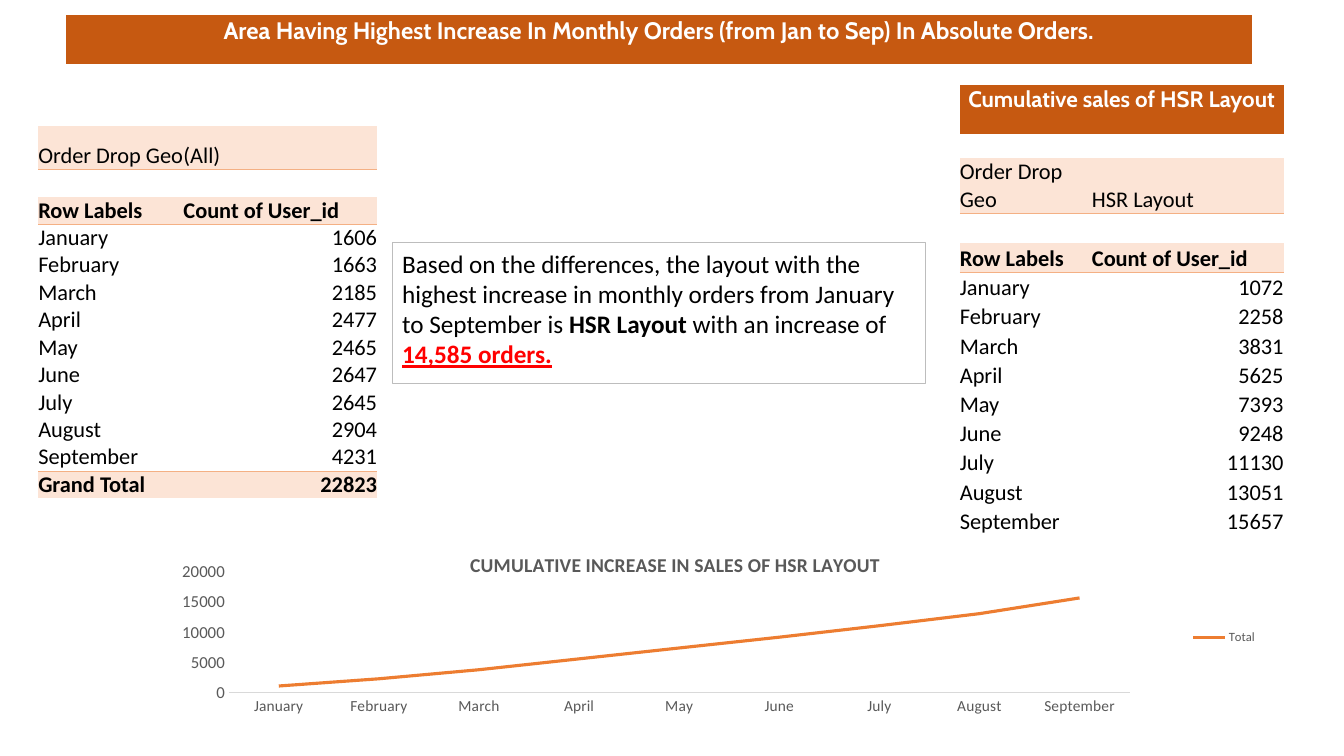
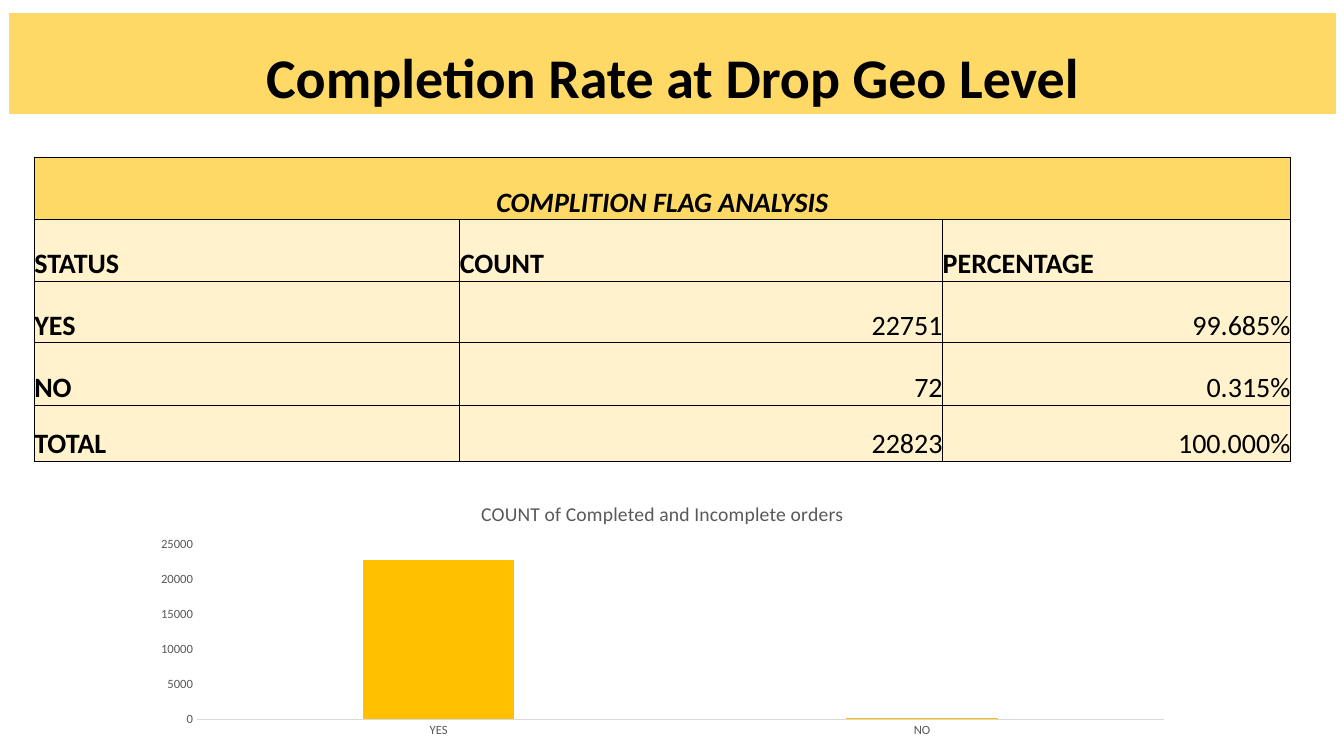
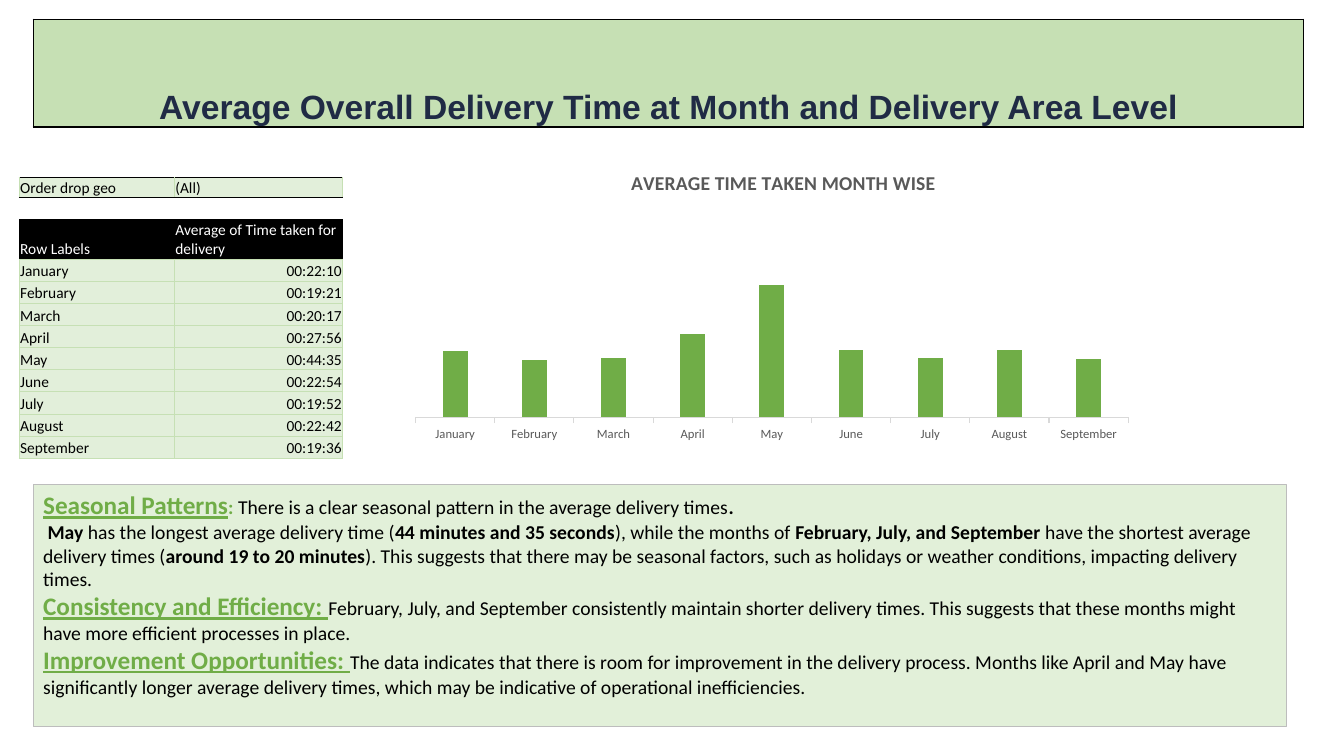
from dataclasses import dataclass, field, replace
from typing import NamedTuple

from lxml.etree import SubElement
from pptx import Presentation
from pptx.chart.data import CategoryChartData
from pptx.dml.color import RGBColor
from pptx.enum.chart import XL_CHART_TYPE, XL_LEGEND_POSITION, XL_TICK_MARK
from pptx.enum.shapes import MSO_SHAPE
from pptx.enum.text import MSO_ANCHOR, PP_ALIGN
from pptx.oxml.ns import qn
from pptx.util import Inches, Pt

# Colours
BLACK = RGBColor(0x00, 0x00, 0x00)
WHITE = RGBColor(0xFF, 0xFF, 0xFF)
GREY_TEXT = RGBColor(0x59, 0x59, 0x59)
AXIS_GREY = RGBColor(0xD9, 0xD9, 0xD9)
BOX_GREY = RGBColor(0xBD, 0xBD, 0xBD)
RED = RGBColor(0xFF, 0x00, 0x00)
RUST = RGBColor(0xC6, 0x59, 0x11)
PEACH = RGBColor(0xFC, 0xE4, 0xD6)
PEACH_RULE = RGBColor(0xF4, 0xB0, 0x84)
ORANGE = RGBColor(0xED, 0x7D, 0x31)
GOLD = RGBColor(0xFF, 0xD9, 0x66)
CREAM = RGBColor(0xFF, 0xF2, 0xCC)
AMBER = RGBColor(0xFF, 0xC0, 0x00)
NAVY = RGBColor(0x20, 0x2B, 0x45)
SAGE = RGBColor(0xC6, 0xE0, 0xB4)
MINT = RGBColor(0xE2, 0xEF, 0xDA)
NOTE_GREEN = RGBColor(0xE2, 0xF0, 0xD9)
GREEN = RGBColor(0x70, 0xAD, 0x47)

MONTHS = ["January", "February", "March", "April", "May", "June",
          "July", "August", "September"]
MONTHLY_ORDERS = [1606, 1663, 2185, 2477, 2465, 2647, 2645, 2904, 4231]
CUMULATIVE_ORDERS = [1072, 2258, 3831, 5625, 7393, 9248, 11130, 13051, 15657]
DELIVERY_TIMES = ["00:22:10", "00:19:21", "00:20:17", "00:27:56", "00:44:35",
                  "00:22:54", "00:19:52", "00:22:42", "00:19:36"]
RELATIVE_TIMES = [50, 43, 45, 63, 100, 51, 45, 51, 44]


class Box(NamedTuple):
    left: float
    top: float
    width: float
    height: float


class Edge(NamedTuple):
    color: RGBColor
    points: float


@dataclass(frozen=True)
class Look:
    size: float
    fill: RGBColor | None = None
    color: RGBColor = BLACK
    font: str = "Calibri"
    bold: bool = False
    italic: bool = False
    align: PP_ALIGN = PP_ALIGN.LEFT
    anchor: MSO_ANCHOR = MSO_ANCHOR.BOTTOM
    inset: float = 0
    edges: dict[str, Edge] = field(default_factory=dict)


class Row(NamedTuple):
    texts: list[str]
    height: float
    label: Look
    value: Look | None = None


class Span(NamedTuple):
    text: str
    bold: bool = False
    color: RGBColor = BLACK
    size: float | None = None
    underline: bool = False


@dataclass(frozen=True)
class ChartPlan:
    kind: XL_CHART_TYPE
    box: Box
    title: str
    categories: list[str]
    series: str
    values: list[int]
    color: RGBColor
    maximum: float
    step: float
    plot: Box | None = None
    title_bold: bool = True
    title_at: tuple[float, float] | None = None
    category_size: float = 9
    value_size: float = 9
    tick: XL_TICK_MARK = XL_TICK_MARK.NONE
    show_values: bool = True
    legend: bool = False


# Tables
def all_edges(color: RGBColor, points: float) -> dict[str, Edge]:
    return {side: Edge(color, points) for side in "LRTB"}


def write_cell(cell, text: str, look: Look) -> None:
    properties = cell._tc.get_or_add_tcPr()
    for side in "LRTB":
        edge = look.edges.get(side)
        line = SubElement(properties, qn(f"a:ln{side}"))
        if edge:
            line.set("w", str(Pt(edge.points)))
            solid = SubElement(line, qn("a:solidFill"))
            SubElement(solid, qn("a:srgbClr"), val=str(edge.color))
        else:
            SubElement(line, qn("a:noFill"))
    if look.fill is None:
        cell.fill.background()
    else:
        cell.fill.solid()
        cell.fill.fore_color.rgb = look.fill
    cell.margin_left = cell.margin_right = cell.margin_top = Inches(look.inset)
    cell.margin_bottom = 0
    cell.vertical_anchor = look.anchor
    paragraph = cell.text_frame.paragraphs[0]
    paragraph.alignment = look.align
    font = paragraph.font
    font.name, font.size = look.font, Pt(look.size)
    font.bold, font.italic = look.bold, look.italic
    font.color.rgb = look.color
    if text:
        paragraph.add_run().text = text
    else:
        SubElement(paragraph._p, qn("a:endParaRPr"), sz=str(int(look.size * 100)))


def draw_table(slide, left: float, top: float, widths: list[float],
               rows: list[Row]) -> None:
    """A row with a single text spans all columns."""
    table = slide.shapes.add_table(
        len(rows), len(widths), Inches(left), Inches(top),
        Inches(sum(widths)), Inches(sum(row.height for row in rows))).table
    table.first_row = table.horz_banding = False
    for column, width in zip(table.columns, widths):
        column.width = Inches(width)
    for r, row in enumerate(rows):
        table.rows[r].height = Inches(row.height)
        spans = len(row.texts) < len(widths)
        texts = row.texts + [""] * (len(widths) - len(row.texts))
        for c, text in enumerate(texts):
            look = row.value if c and row.value else row.label
            write_cell(table.cell(r, c), text, look)
        if spans:
            table.cell(r, 0).merge(table.cell(r, len(widths) - 1))


def draw_band(slide, box: Box, text: str, look: Look) -> None:
    centred = replace(look, align=PP_ALIGN.CENTER, bold=True)
    draw_table(slide, box.left, box.top, [box.width],
               [Row([text], box.height, centred)])


def order_rows(geo: str, filter_height: float, gap: float, height: float,
               counts: list[int], total: int | None = None) -> list[Row]:
    rule = Edge(PEACH_RULE, 0.5)
    plain = Look(16)
    number = replace(plain, align=PP_ALIGN.RIGHT)
    ruled = replace(plain, fill=PEACH, edges={"B": rule})
    rows = [Row(["Order Drop Geo", geo], filter_height, ruled),
            Row(["", ""], gap, replace(plain, edges={"T": rule})),
            Row(["Row Labels", "Count of User_id"], height,
                replace(ruled, bold=True))]
    for month, count in zip(MONTHS, counts):
        edges = {}
        if month == MONTHS[0]:
            edges["T"] = rule
        if month == MONTHS[-1] and total:
            edges["B"] = rule
        rows.append(Row([month, str(count)], height,
                        replace(plain, edges=edges), replace(number, edges=edges)))
    if total:
        closing = replace(plain, fill=PEACH, bold=True, edges={"T": rule})
        rows.append(Row(["Grand Total", str(total)], height, closing,
                        replace(closing, align=PP_ALIGN.RIGHT)))
    return rows


# Text boxes
def draw_note(slide, box: Box, fill: RGBColor, size: float,
              paragraphs: list[list[Span]]) -> None:
    note = slide.shapes.add_shape(MSO_SHAPE.RECTANGLE, *map(Inches, box))
    note.shadow.inherit = False
    note.fill.solid()
    note.fill.fore_color.rgb = fill
    note.line.color.rgb = BOX_GREY
    note.line.width = Pt(0.75)
    frame = note.text_frame
    frame.word_wrap = True
    frame.vertical_anchor = MSO_ANCHOR.TOP
    for i, spans in enumerate(paragraphs):
        paragraph = frame.add_paragraph() if i else frame.paragraphs[0]
        paragraph.alignment = PP_ALIGN.LEFT
        paragraph.font.name, paragraph.font.size = "Calibri", Pt(size)
        for span in spans:
            run = paragraph.add_run()
            run.text = span.text
            run.font.bold, run.font.underline = span.bold, span.underline
            run.font.color.rgb = span.color
            if span.size:
                run.font.size = Pt(span.size)


# Charts
def set_layout(parent, index: int, fractions: dict[str, float],
               inner: bool = False) -> None:
    for old in parent.findall(qn("c:layout")):
        parent.remove(old)
    layout = parent.makeelement(qn("c:layout"), {})
    manual = SubElement(layout, qn("c:manualLayout"))
    if inner:
        SubElement(manual, qn("c:layoutTarget"), val="inner")
    for mode in ("xMode", "yMode"):
        SubElement(manual, qn(f"c:{mode}"), val="edge")
    for name, value in fractions.items():
        SubElement(manual, qn(f"c:{name}"), val=str(value))
    parent.insert(index, layout)


def style_font(font, size: float, color: RGBColor = GREY_TEXT) -> None:
    font.name, font.size = "Calibri", Pt(size)
    font.color.rgb = color


def draw_chart(slide, plan: ChartPlan) -> None:
    data = CategoryChartData()
    data.categories = plan.categories
    data.add_series(plan.series, plan.values)
    chart = slide.shapes.add_chart(plan.kind, *map(Inches, plan.box), data).chart
    style_font(chart.font, 10, BLACK)

    chart.has_title = True
    heading = chart.chart_title.text_frame
    heading.text = plan.title
    style_font(heading.paragraphs[0].font, 14)
    heading.paragraphs[0].font.bold = plan.title_bold
    if plan.title_at:
        set_layout(chart.chart_title._element, 1, dict(zip("xy", plan.title_at)))
    if plan.plot:
        set_layout(chart._chartSpace.chart.plotArea, 0,
                   dict(zip("xywh", plan.plot)), inner=True)

    categories = chart.category_axis
    categories.major_tick_mark = plan.tick
    style_font(categories.tick_labels.font, plan.category_size)
    categories.format.line.color.rgb = AXIS_GREY
    categories.format.line.width = Pt(0.75)
    scale = chart.value_axis
    scale.has_major_gridlines = False
    scale.minimum_scale, scale.maximum_scale = 0, plan.maximum
    scale.major_unit = plan.step
    scale.major_tick_mark = XL_TICK_MARK.NONE
    style_font(scale.tick_labels.font, plan.value_size)
    scale.format.line.fill.background()
    scale.visible = plan.show_values

    chart.has_legend = plan.legend
    if plan.legend:
        chart.legend.position = XL_LEGEND_POSITION.RIGHT
        chart.legend.include_in_layout = False
        style_font(chart.legend.font, 9)

    plot = chart.plots[0]
    plot.vary_by_categories = False
    series = plot.series[0]
    if plan.kind == XL_CHART_TYPE.LINE:
        series.smooth = False
        series.format.line.color.rgb = plan.color
        series.format.line.width = Pt(2.25)
    else:
        plot.gap_width, plot.overlap = 219, -27
        series.format.fill.solid()
        series.format.fill.fore_color.rgb = plan.color


# Slides
def build_orders(slide) -> None:
    rust_band = Look(17, RUST, WHITE, "Cabin", anchor=MSO_ANCHOR.TOP, inset=0.01)
    draw_band(slide, Box(0.65, 0.15, 11.77, 0.49),
              "Area Having Highest Increase In Monthly Orders (from Jan to Sep) "
              "In Absolute Orders.", rust_band)
    draw_band(slide, Box(9.52, 0.84, 3.21, 0.49),
              "Cumulative sales of HSR Layout", replace(rust_band, size=16))
    draw_table(slide, 0.38, 1.25, [1.44, 1.92],
               order_rows("(All)", 0.43, 0.27, 0.27, MONTHLY_ORDERS,
                          sum(MONTHLY_ORDERS)))
    draw_table(slide, 9.52, 1.57, [1.31, 1.9],
               order_rows("HSR Layout", 0.54, 0.3, 0.29, CUMULATIVE_ORDERS))
    draw_chart(slide, ChartPlan(
        XL_CHART_TYPE.LINE, Box(0.16, 5.31, 12.41, 2.03),
        "CUMULATIVE INCREASE IN SALES OF HSR LAYOUT", MONTHS, "Total",
        [round(orders, -2) for orders in CUMULATIVE_ORDERS], ORANGE, 20000, 5000,
        plot=Box(0.17, 0.18, 0.72, 0.59), title_at=(0.36, 0.06),
        category_size=11, value_size=12, legend=True))
    draw_note(slide, Box(3.89, 2.41, 5.29, 1.4), WHITE, 18, [[
        Span("Based on the differences, the layout with the highest increase in "
             "monthly orders from January to September is "),
        Span("HSR Layout", True),
        Span(" with an increase of "),
        Span("14,585 orders.", True, RED, underline=True)]])


def build_completion(slide) -> None:
    draw_band(slide, Box(0.09, 0.13, 13.16, 1), "Completion Rate at Drop Geo Level",
              Look(40, GOLD))
    label = Look(20, CREAM, bold=True, edges=all_edges(BLACK, 0.5))
    number = replace(label, bold=False, align=PP_ALIGN.RIGHT)
    heading = replace(label, fill=GOLD, italic=True, align=PP_ALIGN.CENTER)
    draw_table(slide, 0.34, 1.56, [4.22, 4.79, 3.45], [
        Row(["COMPLITION FLAG ANALYSIS"], 0.62, heading),
        Row(["STATUS", "COUNT", "PERCENTAGE"], 0.61, label),
        Row(["YES", "22751", "99.685%"], 0.61, label, number),
        Row(["NO", "72", "0.315%"], 0.62, label, number),
        Row(["TOTAL", "22823", "100.000%"], 0.56, label, number)])
    draw_chart(slide, ChartPlan(
        XL_CHART_TYPE.COLUMN_CLUSTERED, Box(1.39, 4.82, 10.36, 2.55),
        "COUNT of Completed and Incomplete orders", ["YES", "NO"], "Series 1",
        [22800, 100], AMBER, 25000, 5000, title_bold=False))


def build_delivery(slide) -> None:
    draw_band(slide, Box(0.33, 0.19, 12.6, 1.07),
              "Average Overall Delivery Time at Month and Delivery Area Level",
              Look(24, SAGE, NAVY, "Arial", inset=0.01, edges=all_edges(BLACK, 1)))
    grid = all_edges(SAGE, 0.5)
    rule = Edge(BLACK, 0.5)
    label = Look(11, MINT, inset=0.01, edges=grid)
    time = replace(label, align=PP_ALIGN.RIGHT)
    header = replace(label, fill=BLACK, color=WHITE, edges={"B": grid["B"]})
    draw_table(slide, 0.19, 1.76, [1.54, 1.67], [
        Row(["Order drop geo", "(All)"], 0.19,
            replace(label, edges=grid | {"T": rule, "B": rule})),
        Row(["", ""], 0.21, replace(label, fill=None, edges={"T": rule})),
        Row(["Row Labels", "Average of Time taken for delivery"], 0.4, header),
        *(Row([month, taken], 0.22, label, time)
          for month, taken in zip(MONTHS, DELIVERY_TIMES))])
    draw_chart(slide, ChartPlan(
        XL_CHART_TYPE.COLUMN_CLUSTERED, Box(3.97, 1.53, 7.6, 2.9),
        "AVERAGE TIME TAKEN MONTH WISE", MONTHS, "Series 1", RELATIVE_TIMES,
        GREEN, 113, 20, plot=Box(0.02, 0.39, 0.93, 0.51),
        tick=XL_TICK_MARK.OUTSIDE, show_values=False))

    def topic(text: str) -> Span:
        return Span(text, True, GREEN, 18, True)

    draw_note(slide, Box(0.33, 4.81, 12.43, 2.4), NOTE_GREEN, 14, [
        [topic("Seasonal Patterns"), Span(": ", True, GREEN),
         Span("There is a clear seasonal pattern in the average delivery times"),
         Span(".", True)],
        [Span(" May ", True),
         Span("has the longest average delivery time ("),
         Span("44 minutes and 35 seconds", True),
         Span("), while the months of "),
         Span("February, July, and September ", True),
         Span("have the shortest average delivery times ("),
         Span("around 19 to 20 minutes", True),
         Span("). This suggests that there may be seasonal factors, such as "
              "holidays or weather conditions, impacting delivery times.")],
        [topic("Consistency and Efficiency: "),
         Span("February, July, and September consistently maintain shorter "
              "delivery times. This suggests that these months might have more "
              "efficient processes in place.")],
        [topic("Improvement Opportunities: "),
         Span("The data indicates that there is room for improvement in the "
              "delivery process. Months like April and May have significantly "
              "longer average delivery times, which may be indicative of "
              "operational inefficiencies.")]])


def main() -> None:
    deck = Presentation()
    deck.slide_width, deck.slide_height = Inches(13.33), Inches(7.5)
    for build in (build_orders, build_completion, build_delivery):
        build(deck.slides.add_slide(deck.slide_layouts[6]))
    deck.save("out.pptx")


if __name__ == "__main__":
    main()
